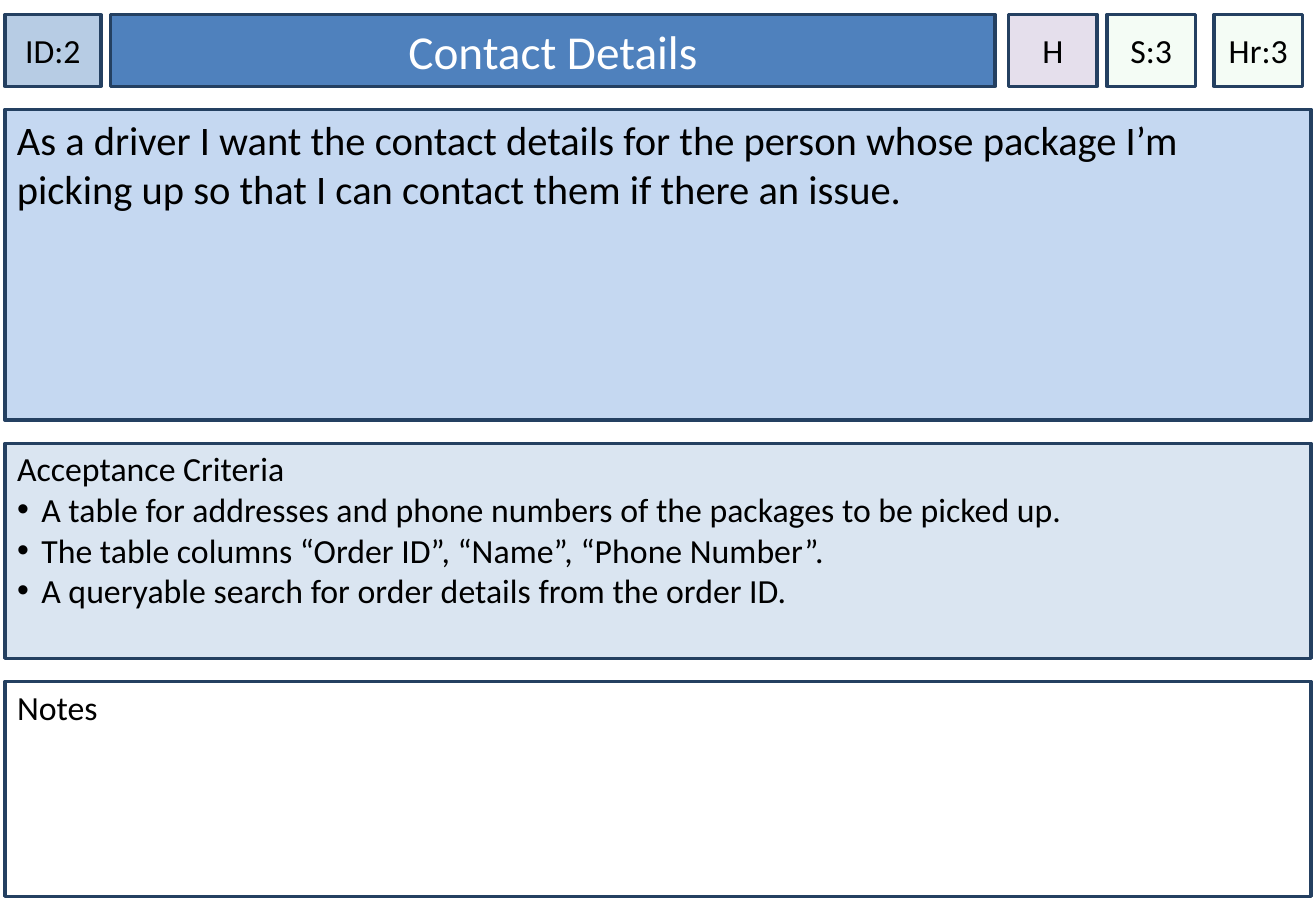
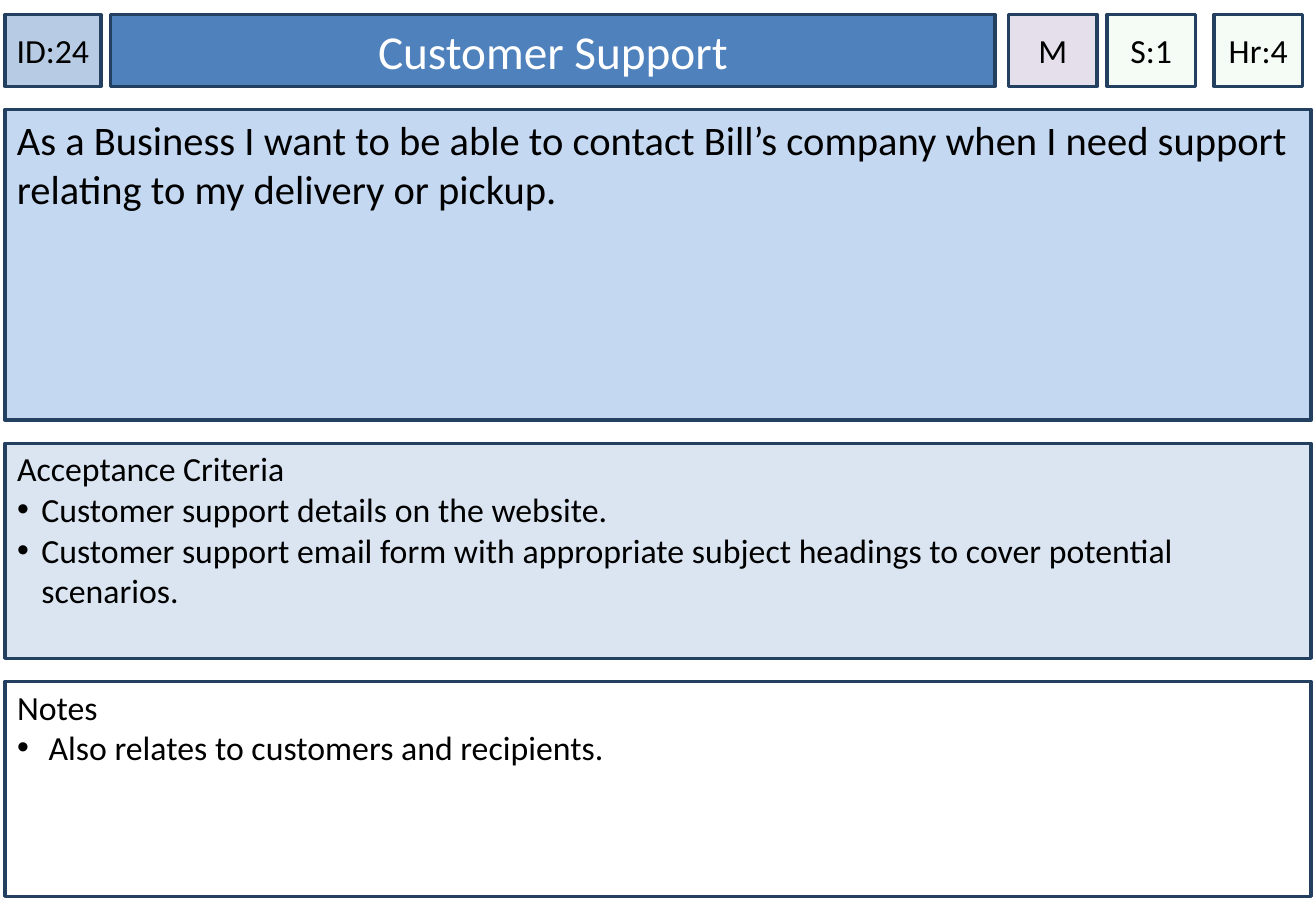
from dataclasses import dataclass

import pptx
import pptx.dml.color
import pptx.enum.shapes
import pptx.enum.text
import pptx.oxml.ns
import pptx.util
from lxml import etree

PX = pptx.util.Inches(1) // 100
FONT = "Calibri"
INK, EDGE, WHITE = "000000", "244061", "FFFFFF"
LEFT, WIDE, GAP = 4, 1075, 19
TOP, HIGH = 12, 59
STORY_TOP, STORY_HIGH, LIST_HIGH = 90, 256, 177
MID = pptx.enum.text.MSO_ANCHOR.MIDDLE
UPPER = pptx.enum.text.MSO_ANCHOR.TOP
TWO_LISTS = 3


@dataclass
class Box:
    x: int
    y: int
    w: int
    h: int
    fill: str
    size: int = 20
    ink: str = INK
    side: int = 10
    head: int = 5
    center: bool = False
    alpha: int = 100


@dataclass
class Card:
    code: str
    title: str
    rank: str
    score: str
    hours: str
    story: str
    tests: list[str]
    notes: list[str]


def chip(x: int, w: int, fill: str, alpha: int = 100) -> Box:
    return Box(x, TOP, w, HIGH, fill, side=0, center=True, alpha=alpha)


CODE = chip(LEFT, 79, "B7CCE4")
RANK = chip(830, 73, "E5DFEC")
SCORE = chip(911, 73, "CCF0CD", 20)
HOURS = chip(999, 73, "CCF0CD", 20)
TITLE = Box(91, TOP, 728, HIGH, "4F81BD", size=28, ink=WHITE, center=True)
STORY = Box(LEFT, STORY_TOP, WIDE, STORY_HIGH, "C5D8F1", size=24)
TESTS = Box(LEFT, STORY.y + STORY.h + GAP, WIDE, LIST_HIGH, "DAE5F1", head=4)
NOTES = Box(LEFT, TESTS.y + TESTS.h + GAP, WIDE, LIST_HIGH, WHITE, head=4)

CARDS = [
    Card("ID:2", "Contact Details", "H", "S:3", "Hr:3",
         "As a driver I want the contact details for the person whose package "
         "I’m picking up so that I can contact them if there an issue.",
         ["A table for addresses and phone numbers of the packages to be picked up.",
          "The table columns “Order ID”, “Name”, “Phone Number”.",
          "A queryable search for order details from the order ID."],
         []),
    Card("ID:24", "Customer Support", "M", "S:1", "Hr:4",
         "As a Business I want to be able to contact Bill’s company when I need "
         "support relating to my delivery or pickup.",
         ["Customer support details on the website.",
          "Customer support email form with appropriate subject headings to cover "
          "potential scenarios."],
         ["Also relates to customers and recipients."]),
]


def color(code: str) -> pptx.dml.color.RGBColor:
    return pptx.dml.color.RGBColor.from_string(code)


def style(shape, box: Box) -> None:
    shape.left, shape.top = box.x * PX, box.y * PX
    shape.width, shape.height = box.w * PX, box.h * PX
    shape.shadow.inherit = False
    shape.fill.solid()
    shape.fill.fore_color.rgb = color(box.fill)
    if box.alpha < 100:
        tint = shape.element.spPr.find(pptx.oxml.ns.qn("a:solidFill"))[0]
        etree.SubElement(tint, pptx.oxml.ns.qn("a:alpha"), val=str(box.alpha * 1000))
    shape.line.color.rgb = color(EDGE)
    shape.line.width = pptx.util.Pt(2)
    frame = shape.text_frame
    frame.word_wrap = True
    frame.auto_size = pptx.enum.text.MSO_AUTO_SIZE.NONE
    frame.vertical_anchor = MID if box.center else UPPER
    frame.margin_left = frame.margin_right = box.side * PX
    frame.margin_top, frame.margin_bottom = box.head * PX, 5 * PX


def mark(para, indent: int) -> None:
    """Set a hanging bullet, or no bullet when the indent is zero."""
    props = para._p.get_or_add_pPr()
    props.set("marL", str(indent * PX))
    props.set("indent", str(-indent * PX))
    if not indent:
        etree.SubElement(props, pptx.oxml.ns.qn("a:buNone"))
        return
    tint = etree.SubElement(props, pptx.oxml.ns.qn("a:buClr"))
    etree.SubElement(tint, pptx.oxml.ns.qn("a:srgbClr"), val=INK)
    etree.SubElement(props, pptx.oxml.ns.qn("a:buFont"), typeface="Arial")
    etree.SubElement(props, pptx.oxml.ns.qn("a:buChar"), char="•")


def write(shape, box: Box, text: str, items: list[str] | None = None,
          indent: int = 20) -> None:
    style(shape, box)
    align = pptx.enum.text.PP_ALIGN
    frame = shape.text_frame
    for spot, line in enumerate([text, *(items or [])]):
        para = frame.add_paragraph() if spot else frame.paragraphs[0]
        para.alignment = align.CENTER if box.center else align.LEFT
        para.space_before = pptx.util.Pt(0)
        mark(para, indent if spot else 0)
        run = para.add_run()
        run.text = line
        run.font.name = FONT
        run.font.size = pptx.util.Pt(box.size)
        run.font.color.rgb = color(box.ink)


def draw(deck, card: Card) -> None:
    slide = deck.slides.add_slide(deck.slide_layouts[TWO_LISTS])
    holds = {hold.placeholder_format.idx: hold for hold in slide.placeholders}
    for key in holds.keys() - {0, 1, 2}:
        holds[key].element.getparent().remove(holds[key].element)
    write(holds[0], TITLE, card.title)
    write(holds[1], TESTS, "Acceptance Criteria", card.tests)
    write(holds[2], NOTES, "Notes", card.notes, indent=26)
    plain = [(CODE, card.code), (STORY, card.story), (SCORE, card.score),
             (RANK, card.rank), (HOURS, card.hours)]
    for box, text in plain:
        shape = slide.shapes.add_shape(
            pptx.enum.shapes.MSO_SHAPE.RECTANGLE, 0, 0, PX, PX)
        write(shape, box, text)


def main() -> None:
    deck = pptx.Presentation()
    deck.slide_width, deck.slide_height = 1083 * PX, 750 * PX
    for card in CARDS:
        draw(deck, card)
    deck.save("out.pptx")


if __name__ == "__main__":
    main()
